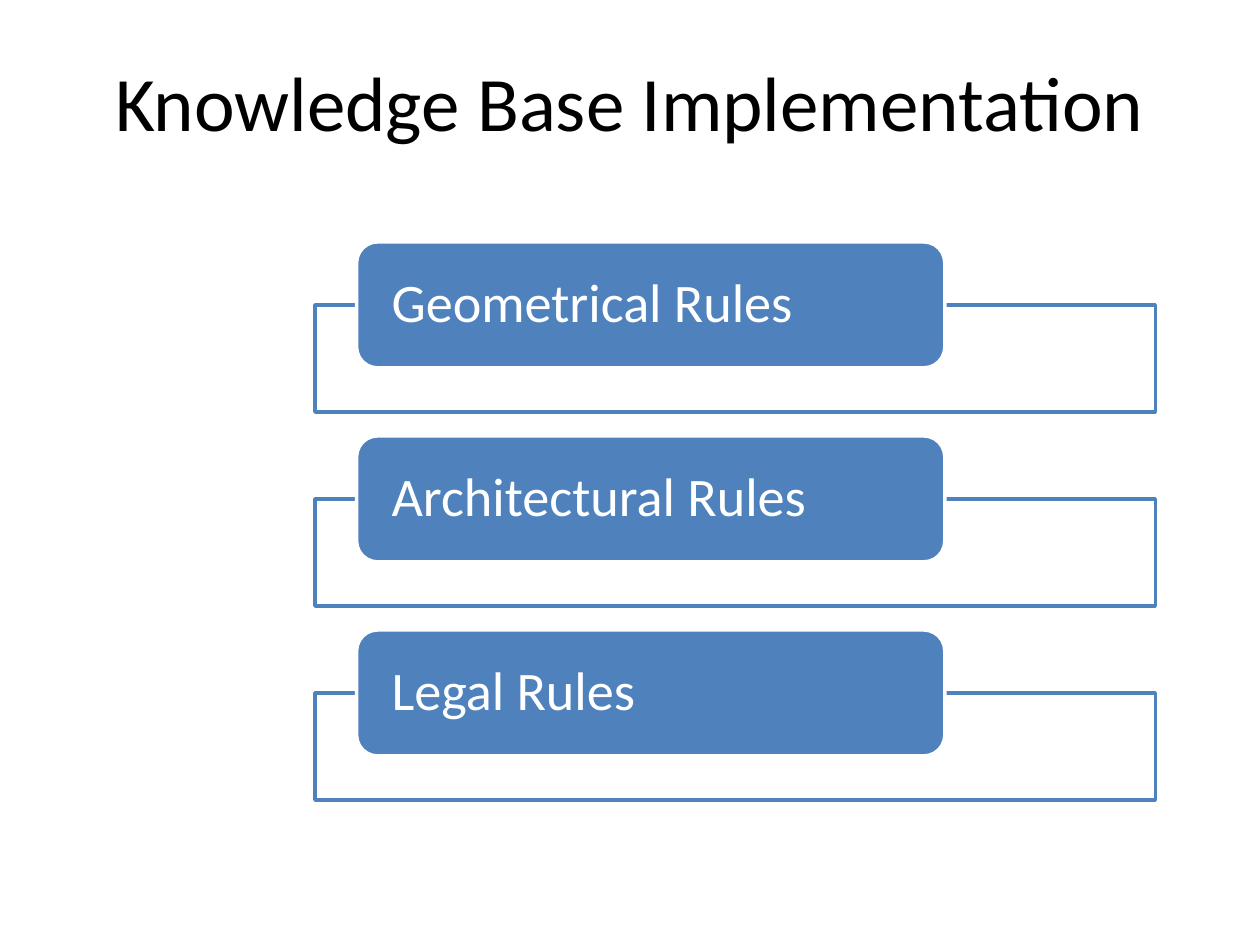
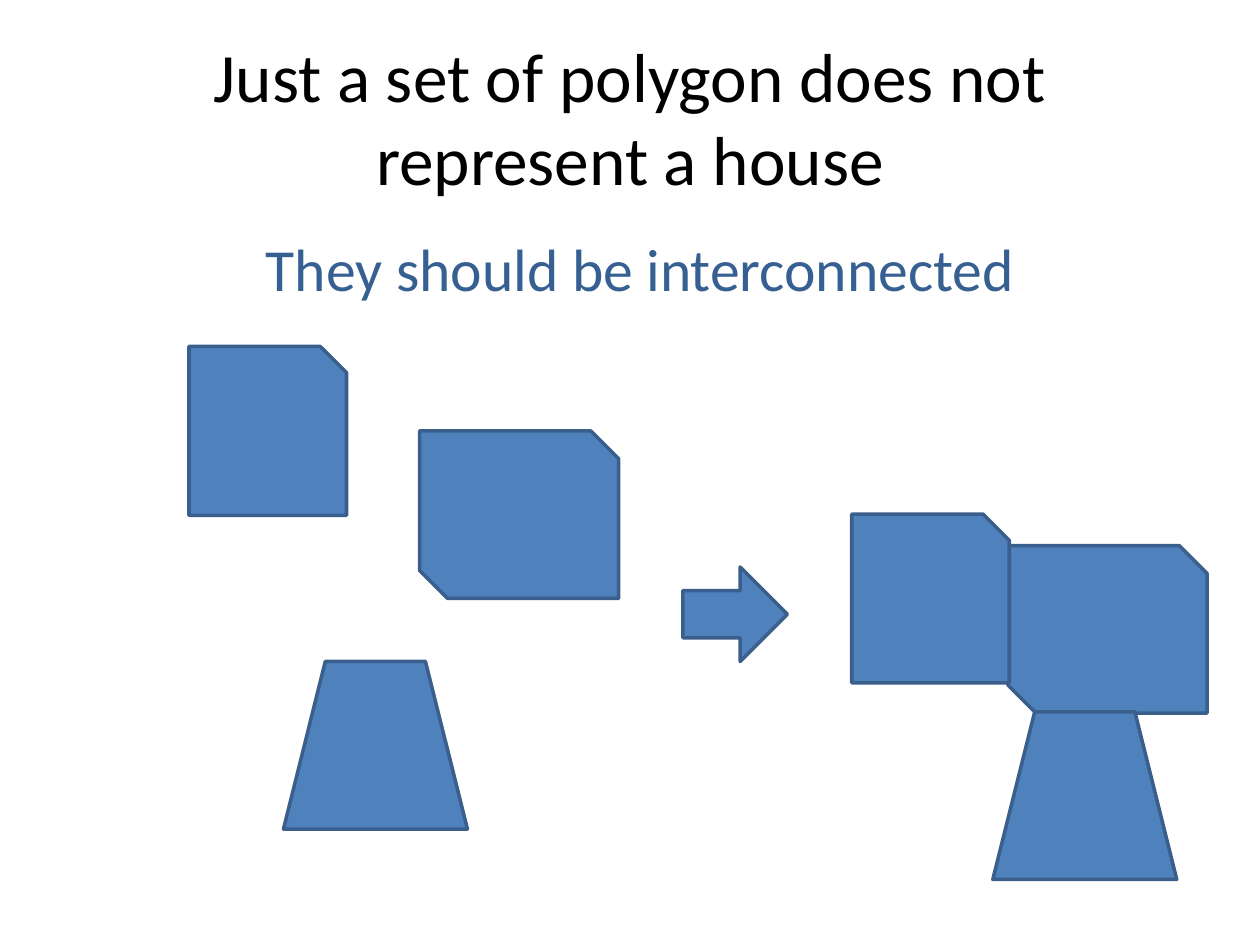
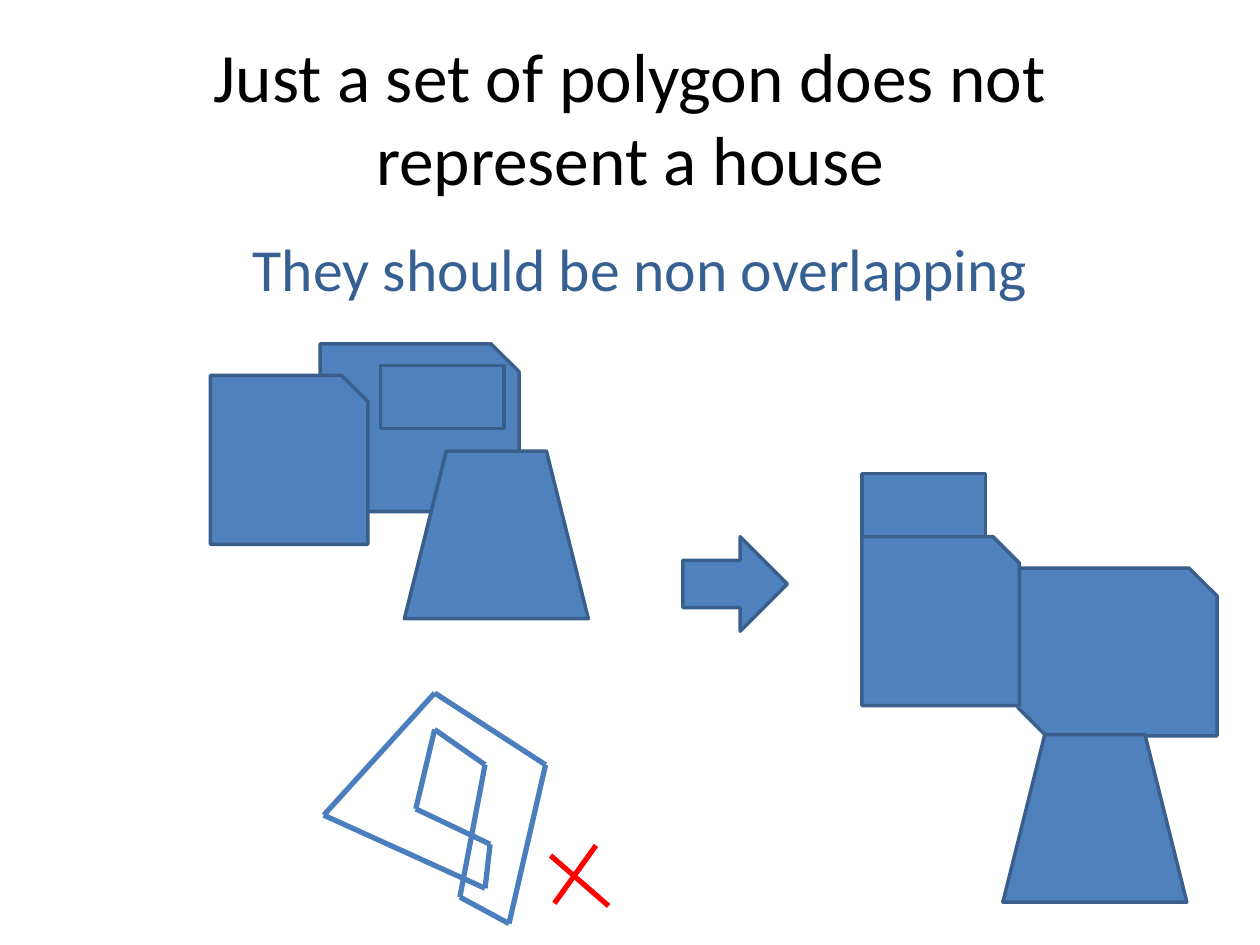
from itertools import pairwise

from lxml import etree
from pptx import Presentation
from pptx.dml.color import RGBColor
from pptx.enum.shapes import MSO_CONNECTOR, MSO_SHAPE as SHP
from pptx.enum.text import MSO_ANCHOR as ANCHOR, PP_ALIGN as ALIGN
from pptx.oxml.ns import qn
from pptx.util import Inches, Pt

WHITE = RGBColor(0xFF, 0xFF, 0xFF)
BLACK = RGBColor(0x00, 0x00, 0x00)
BLUE = RGBColor(0x4F, 0x81, 0xBD)
EDGE = RGBColor(0x3A, 0x5F, 0x8C)
STROKE = RGBColor(0x4B, 0x7E, 0xBC)
NAVY = RGBColor(0x37, 0x60, 0x92)
RED = RGBColor(0xFF, 0x00, 0x00)
FONT = "Calibri"

# Each kind of room: preset shape, width, height
ROOMS = {
    "hall": (SHP.SNIP_2_DIAG_RECTANGLE, 1.58, 1.33),
    "porch": (SHP.TRAPEZOID, 1.46, 1.33),
    "main": (SHP.SNIP_1_RECTANGLE, 1.25, 1.34),
    "annex": (SHP.RECTANGLE, 0.98, 0.5),
    "arrow": (SHP.RIGHT_ARROW, 0.83, 0.75),
}
# Rooms of a well formed house, measured from its main room
HOUSE = {"hall": (1.24, 0.25), "porch": (1.12, 1.57), "main": (0, 0)}


def set_text(sp, text, size, color, align, side=0.1, **para):
    tf = sp.text_frame
    frame = dict(word_wrap=True, vertical_anchor=ANCHOR.MIDDLE,
                 margin_left=Inches(side), margin_right=Inches(side))
    for name, value in frame.items():
        setattr(tf, name, value)
    p = tf.paragraphs[0]
    for name, value in dict(alignment=align, **para).items():
        setattr(p, name, value)
    r = p.add_run()
    r.text = text
    for name, value in dict(name=FONT, size=Pt(size)).items():
        setattr(r.font, name, value)
    r.font.color.rgb = color


def add_heading(slide, text, x, y, size, color=BLACK):
    box = slide.shapes.add_textbox(Inches(x), Inches(y), Inches(9), Inches(1.25))
    set_text(box, text, size, color, ALIGN.CENTER)


def add_box(shapes, kind, x, y, w, h, fill=BLUE, line=EDGE):
    sp = shapes.add_shape(kind, Inches(x), Inches(y), Inches(w), Inches(h))
    sp.shadow.inherit = False
    sp.fill.solid()
    sp.fill.fore_color.rgb = fill
    sp.line.color.rgb = line
    sp.line.width = Pt(2)
    return sp


def add_line(shapes, start, end, color):
    ln = shapes.add_connector(MSO_CONNECTOR.STRAIGHT,
                              *(Inches(v) for v in (*start, *end)))
    ln.line.color.rgb = color
    ln.line.width = Pt(3)
    etree.SubElement(ln._element.spPr, qn("a:effectLst"))


def add_rooms(shapes, x, y, rooms):
    """Place rooms at their offsets from x, y, from back to front."""
    for name, (dx, dy) in rooms.items():
        kind, w, h = ROOMS[name]
        add_box(shapes, kind, x + dx, y + dy, w, h)


def add_rule(shapes, text, x, y, w):
    """A frame with a labelled tab lying over its top edge."""
    frame = add_box(shapes, SHP.RECTANGLE, x, y + 0.5, w, 0.85, WHITE, BLUE)
    color = frame._element.spPr.find(qn("a:solidFill"))[0]
    etree.SubElement(color, qn("a:alpha"), val="90000")
    tab = add_box(shapes, SHP.ROUNDED_RECTANGLE, x + 0.33, y, 0.7 * w, 1, BLUE, WHITE)
    set_text(tab, text, 31, WHITE, ALIGN.LEFT, side=0.23, line_spacing=0.9)


def add_crossing_outline(shapes, x, y):
    """A closed outline whose sides cross each other."""
    corners = [(0, 0.97), (0.88, 0), (1.76, 0.57), (1.47, 1.83), (1.08, 1.62),
               (1.28, 0.57), (0.88, 0.29), (0.73, 0.92), (1.32, 1.2), (1.28, 1.55)]
    points = [(x + dx, y + dy) for dx, dy in corners]
    for start, end in pairwise(points + points[:1]):
        add_line(shapes, start, end, STROKE)


def add_cross(shapes, x, y):
    add_line(shapes, (x + 0.36, y), (x + 0.03, y + 0.46), RED)
    add_line(shapes, (x, y + 0.08), (x + 0.46, y + 0.48), RED)


def new_slide(prs):
    return prs.slides.add_slide(prs.slide_layouts[6])


def rules_slide(prs, title, rules):
    slide = new_slide(prs)
    add_heading(slide, title, 0.5, 0.17, 44)
    group = slide.shapes.add_group_shape().shapes
    for i, rule in enumerate(rules):
        add_rule(group, rule, 2.5, 1.92 + 1.54 * i, 6.67)


def polygon_slide(prs, subtitle, arrow_y):
    slide = new_slide(prs)
    add_heading(slide, "Just a set of polygon does not represent a house", 0.5, 0.3, 39.6)
    add_heading(slide, subtitle, 0.58, 1.5, 34.1, NAVY)
    add_rooms(slide.shapes, 5.42, arrow_y, {"arrow": (0, 0)})
    return slide.shapes


prs = Presentation()
prs.slide_width, prs.slide_height = Inches(10), Inches(7.5)

rules_slide(prs, "Knowledge Base Implementation",
            ["Geometrical Rules", "Architectural Rules", "Legal Rules"])

# Scattered rooms become a connected house
shapes = polygon_slide(prs, "They should be interconnected", 4.5)
add_rooms(shapes, 1.5, 2.75, {"hall": (1.83, 0.67), "porch": (0.75, 2.5), "main": (0, 0)})
add_rooms(shapes, 6.76, 4.08, HOUSE)

# Overlapping rooms become a house without overlaps
shapes = polygon_slide(prs, "They should be non overlapping", 4.26)
add_rooms(shapes.add_group_shape().shapes, 1.67, 2.98,
          {"hall": (0.87, -0.25), "porch": (1.54, 0.6), "main": (0, 0), "annex": (1.35, -0.08)})
add_rooms(shapes.add_group_shape().shapes, 6.84, 4.26, HOUSE | {"annex": (0, -0.5)})
add_crossing_outline(shapes.add_group_shape().shapes, 2.57, 5.5)
add_cross(shapes, 4.37, 6.71)

prs.save("out.pptx")
